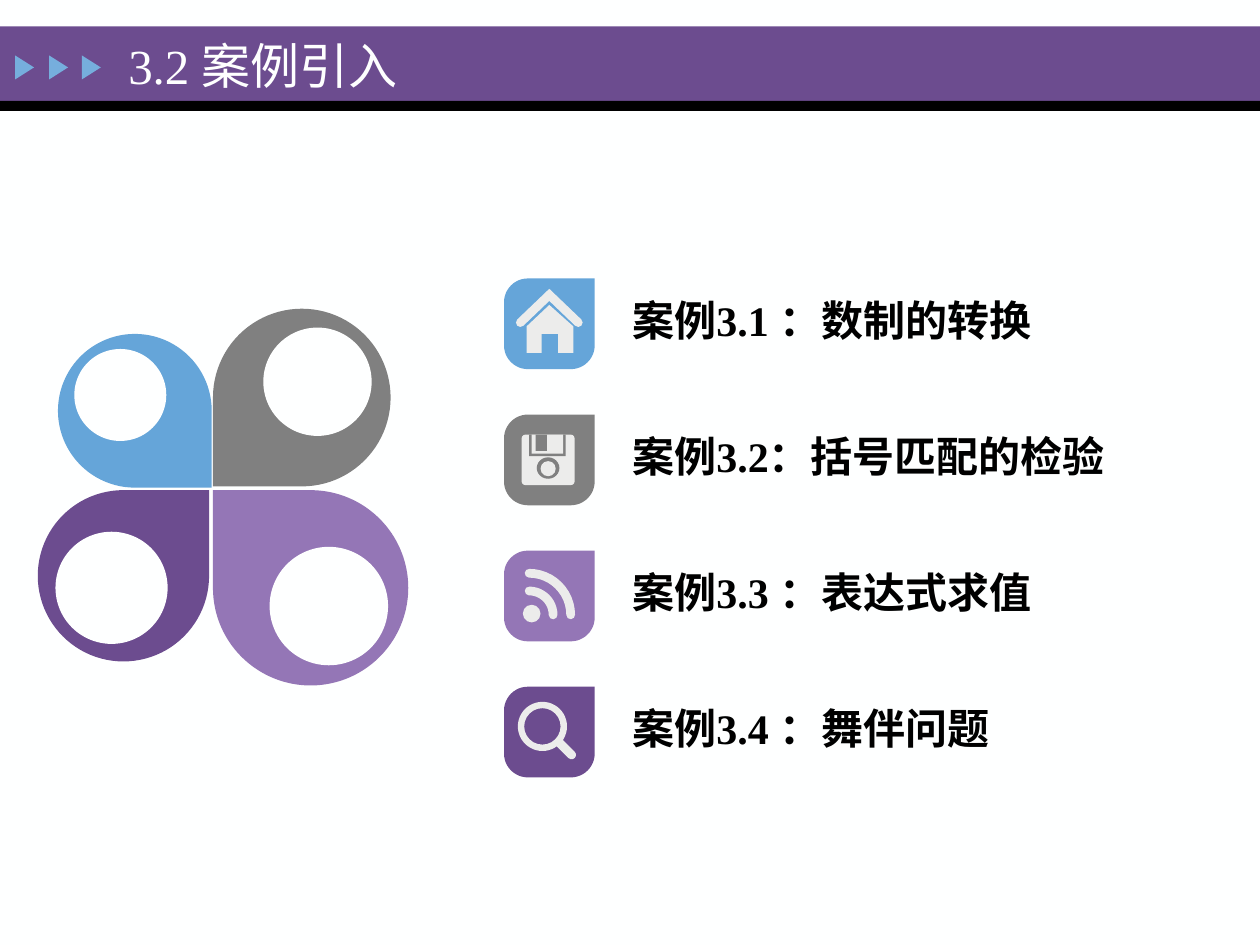
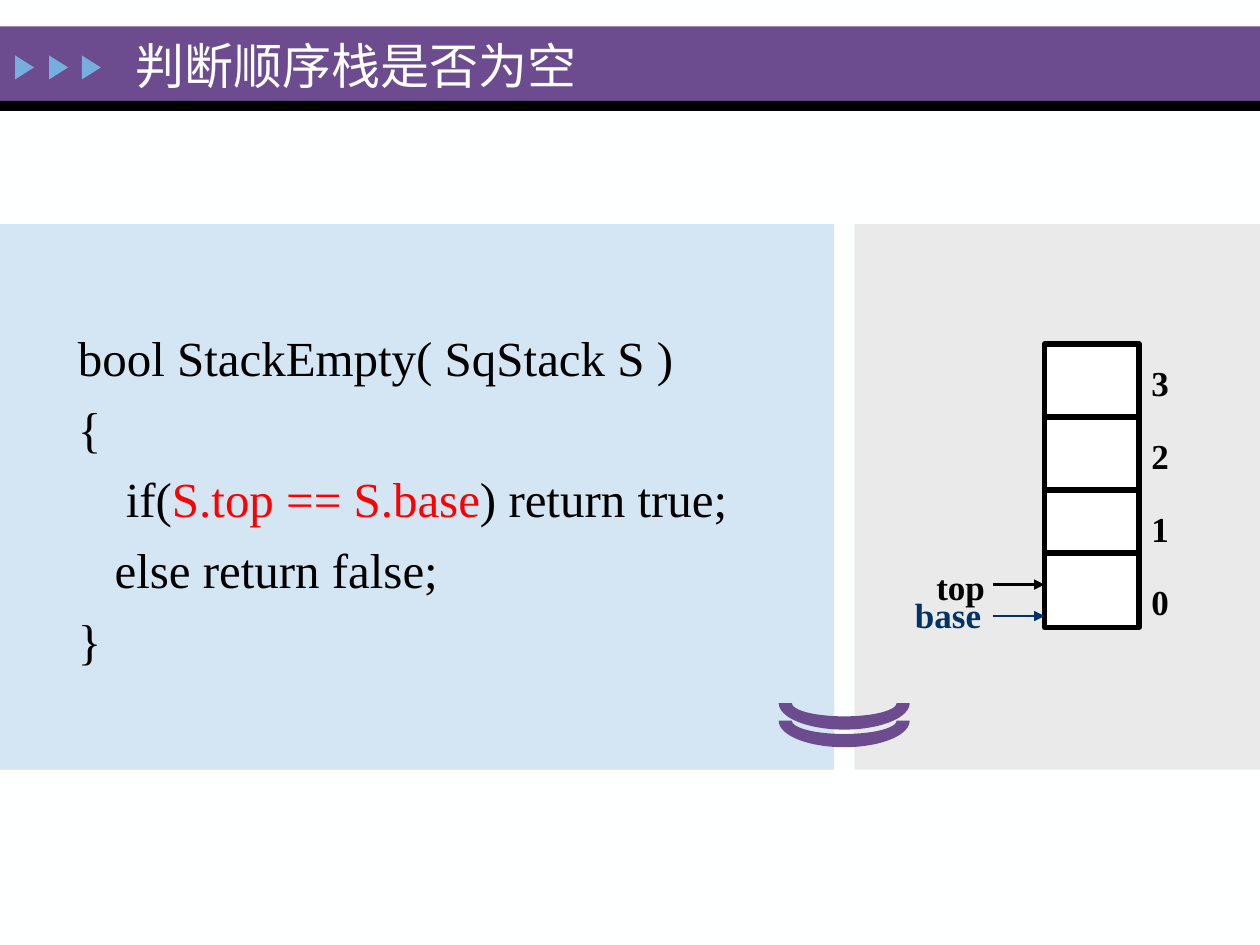
"""Builds two slides on stacks: the chapter's cases and the empty-stack test."""
from dataclasses import dataclass
from math import cos, pi, sin

from lxml import etree
from pptx import Presentation
from pptx.dml.color import RGBColor
from pptx.enum.shapes import MSO_CONNECTOR, MSO_SHAPE
from pptx.enum.text import MSO_ANCHOR, PP_ALIGN
from pptx.oxml.ns import qn
from pptx.util import Inches, Pt

RECT, OVAL, ROUNDED = MSO_SHAPE.RECTANGLE, MSO_SHAPE.OVAL, MSO_SHAPE.ROUNDED_RECTANGLE
TRIANGLE, TEAR, DONUT = MSO_SHAPE.ISOSCELES_TRIANGLE, MSO_SHAPE.TEAR, MSO_SHAPE.DONUT
ARC, BLOCK_ARC, STRAIGHT = MSO_SHAPE.ARC, MSO_SHAPE.BLOCK_ARC, MSO_CONNECTOR.STRAIGHT
TOP, MIDDLE = MSO_ANCHOR.TOP, MSO_ANCHOR.MIDDLE
LEFT, CENTER = PP_ALIGN.LEFT, PP_ALIGN.CENTER


@dataclass
class Theme:
    font: str = "Times New Roman"
    paper: str = "FEFFFF"
    white: str = "FFFFFF"
    black: str = "000000"
    purple: str = "6C4C8F"
    lilac: str = "9476B6"
    blue: str = "65A5D9"
    gray: str = "808080"
    marker: str = "76AEDD"
    icon: str = "ECECEB"
    code_panel: str = "D4E6F4"
    stack_panel: str = "EAEAEA"
    red: str = "FF0000"
    navy: str = "003366"
    title_size: int = 28
    code_size: int = 28
    case_size: int = 24
    label_size: int = 20


theme = Theme()


def add_text(s, box, paragraphs, size=20, color=theme.black, bold=False,
             align=LEFT, anchor=TOP, hanging=0, space=0, first_line=None):
    tb = s.shapes.add_textbox(*map(Inches, box))
    tf = tb.text_frame
    tf.word_wrap = True
    tf.vertical_anchor = anchor
    for i, runs in enumerate(paragraphs):
        p = tf.paragraphs[0] if i == 0 else tf.add_paragraph()
        p.alignment = align
        if hanging:
            pPr = p._p.get_or_add_pPr()
            pPr.set("marL", str(Inches(hanging)))
            pPr.set("indent", str(-Inches(hanging)))
        if i:
            p.space_before = Pt(space)
        elif first_line:
            p.line_spacing = first_line
        for content, run_color in runs:
            r = p.add_run()
            r.text = content
            r.font.name = theme.font
            r.font.size = Pt(size)
            r.font.bold = bold
            r.font.color.rgb = RGBColor.from_string(run_color or color)


def add_shape(s, kind, box, fill, rotation=0, adjust=None):
    sp = s.shapes.add_shape(kind, *map(Inches, box))
    sp.shadow.inherit = False
    sp.fill.solid()
    sp.fill.fore_color.rgb = RGBColor.from_string(fill)
    sp.line.fill.background()
    sp.rotation = rotation
    if adjust is not None:
        sp.adjustments[0] = adjust
    return sp


prs = Presentation()
prs.slide_width, prs.slide_height = Inches(10), Inches(7.5)

slides = []
for title, title_left in (("3.2 案例引入", 0.92), ("判断顺序栈是否为空", 0.98)):
    s = prs.slides.add_slide(prs.slide_layouts[6])
    s.background.fill.solid()
    s.background.fill.fore_color.rgb = RGBColor.from_string(theme.paper)
    add_shape(s, RECT, (0, 0.21, 10, 0.59), theme.purple)
    add_shape(s, RECT, (0, 0.8, 10, 0.08), theme.black)
    for left in (0.1, 0.37, 0.63):
        add_shape(s, TRIANGLE, (left, 0.46, 0.19, 0.15), theme.marker, rotation=90)
    add_text(s, (title_left, 0.25, 7, 0.53), [[(title, None)]],
             size=theme.title_size, color=theme.paper, anchor=MIDDLE)
    slides.append(s)
cases, stack = slides

petals = [
    (0.46, 2.65, 1.22, 90, theme.blue, 0.59, 2.77, 0.73),
    (0.3, 3.89, 1.36, 0, theme.purple, 0.44, 4.22, 0.89),
    (1.69, 2.45, 1.41, 180, theme.gray, 2.09, 2.6, 0.86),
    (1.69, 3.89, 1.55, 270, theme.lilac, 2.14, 4.34, 0.94),
]
for left, top, side, rotation, color, eye_left, eye_top, eye in petals:
    add_shape(cases, TEAR, (left, top, side, side), color, rotation)
    add_shape(cases, OVAL, (eye_left, eye_top, eye, eye), theme.paper)

tile_left, tile_top, tile_step, tile, corner = 4, 2.21, 1.08, 0.72, 0.19
outlines = []
case_rows = [
    ("案例3.1 ：数制的转换", theme.blue),
    ("案例3.2：括号匹配的检验", theme.gray),
    ("案例3.3 ：表达式求值", theme.lilac),
    ("案例3.4 ：舞伴问题", theme.purple),
]
for i, (name, color) in enumerate(case_rows):
    top = tile_top + i * tile_step
    near, far = corner, tile - corner
    points = [(tile_left + tile, top)]
    for x, y, start in ((far, far, 0), (near, far, 90), (near, near, 180)):
        for step in range(13):
            angle = (start + step * 7.5) * pi / 180
            points.append((tile_left + x + corner * cos(angle),
                           top + y + corner * sin(angle)))
    outlines.append((points, color))
    add_text(cases, (4.92, top + 0.08, 4.5, 0.51), [[(name, None)]],
             size=theme.case_size, bold=True)

house = [(4.18, 2.59), (4.36, 2.42), (4.55, 2.59), (4.55, 2.8), (4.43, 2.8),
         (4.43, 2.65), (4.3, 2.65), (4.3, 2.8), (4.18, 2.8)]
outlines.append((house, theme.icon))
for points, color in outlines:
    fb = cases.shapes.build_freeform(*map(Inches, points[0]))
    fb.add_line_segments([(Inches(x), Inches(y)) for x, y in points[1:]])
    sp = fb.convert_to_shape()
    sp.shadow.inherit = False
    sp.fill.solid()
    sp.fill.fore_color.rgb = RGBColor.from_string(color)
    sp.line.fill.background()

fb = cases.shapes.build_freeform(Inches(4.13), Inches(2.56))
fb.add_line_segments([(Inches(4.36), Inches(2.34)), (Inches(4.59), Inches(2.56))], close=False)
strokes = [(fb.convert_to_shape(), "miter")]
for center_y, radius in ((4.88, 0.19), (4.88, 0.33)):
    box = (4.2 - radius, center_y - radius, 2 * radius, 2 * radius)
    strokes.append((cases.shapes.add_shape(ARC, *map(Inches, box)), "round"))
for sp, join in strokes:
    sp.shadow.inherit = False
    sp.fill.background()
    sp.line.color.rgb = RGBColor.from_string(theme.icon)
    sp.line.width = Pt(5)
    ln = sp.line._get_or_add_ln()
    ln.set("cap", "rnd")
    etree.SubElement(ln, qn("a:" + join))

icon_parts = [
    (ROUNDED, (4.14, 3.45, 0.42, 0.4), theme.icon, 0, 0.07),
    (RECT, (4.2, 3.45, 0.29, 0.17), theme.gray, 0, None),
    (RECT, (4.22, 3.45, 0.25, 0.15), theme.icon, 0, None),
    (RECT, (4.25, 3.45, 0.09, 0.13), theme.gray, 0, None),
    (OVAL, (4.26, 3.63, 0.18, 0.17), theme.gray, 0, None),
    (OVAL, (4.29, 3.66, 0.12, 0.12), theme.icon, 0, None),
    (OVAL, (4.15, 4.8, 0.14, 0.14), theme.icon, 0, None),
    (DONUT, (4.11, 5.57, 0.39, 0.39), theme.icon, 0, 0.13),
    (ROUNDED, (4.39, 5.91, 0.2, 0.07), theme.icon, 45, 0.5),
]
for kind, box, color, rotation, adjust in icon_parts:
    add_shape(cases, kind, box, color, rotation, adjust)

add_shape(stack, RECT, (0, 1.78, 6.62, 4.33), theme.code_panel)
add_shape(stack, RECT, (6.78, 1.78, 3.22, 4.33), theme.stack_panel)
code = [
    [("bool StackEmpty( SqStack S )", None)],
    [("{", None)],
    [("\tif(", None), ("S.top == S.base", theme.red), (") return true;", None)],
    [("   else return false;", None)],
    [("}", None)],
]
add_text(stack, (0.52, 2.6, 5.51, 2.64), code, size=theme.code_size,
         hanging=0.38, space=6.7, first_line=0.9)

stack_left, stack_right = 8.29, 9.04
sp = add_shape(stack, RECT, (stack_left, 2.73, stack_right - stack_left, 2.25), theme.white)
sp.line.color.rgb = RGBColor.from_string(theme.black)
sp.line.width = Pt(3)

lines = [(stack_left, stack_right, y, theme.black, 3, False) for y in (3.31, 3.89, 4.39)]
lines += [(7.88, stack_left, y, color, 1.5, True)
          for y, color in ((4.64, theme.black), (4.89, theme.navy))]
for x1, x2, y, color, width, arrow in lines:
    cx = stack.shapes.add_connector(STRAIGHT, Inches(x1), Inches(y), Inches(x2), Inches(y))
    cx.line.color.rgb = RGBColor.from_string(color)
    cx.line.width = Pt(width)
    if arrow:
        etree.SubElement(cx.line._get_or_add_ln(), qn("a:tailEnd"), type="triangle")
    etree.SubElement(cx._element.spPr, qn("a:effectLst"))

for name, left, top, color in (("base", 6.86, 4.66, theme.navy), ("top", 6.96, 4.44, theme.black)):
    add_text(stack, (left, top, 1.33, 0.43), [[(name, color)]],
             size=theme.label_size, bold=True, align=CENTER)
for i in range(4):
    add_text(stack, (stack_right, 4.56 - i * 0.58, 0.33, 0.43), [[(str(i), None)]],
             size=theme.label_size, bold=True)

for top in (5.51, 5.37):
    add_shape(stack, BLOCK_ARC, (6.18, top, 1.04, 0.42), theme.purple, rotation=180)

prs.save("out.pptx")
